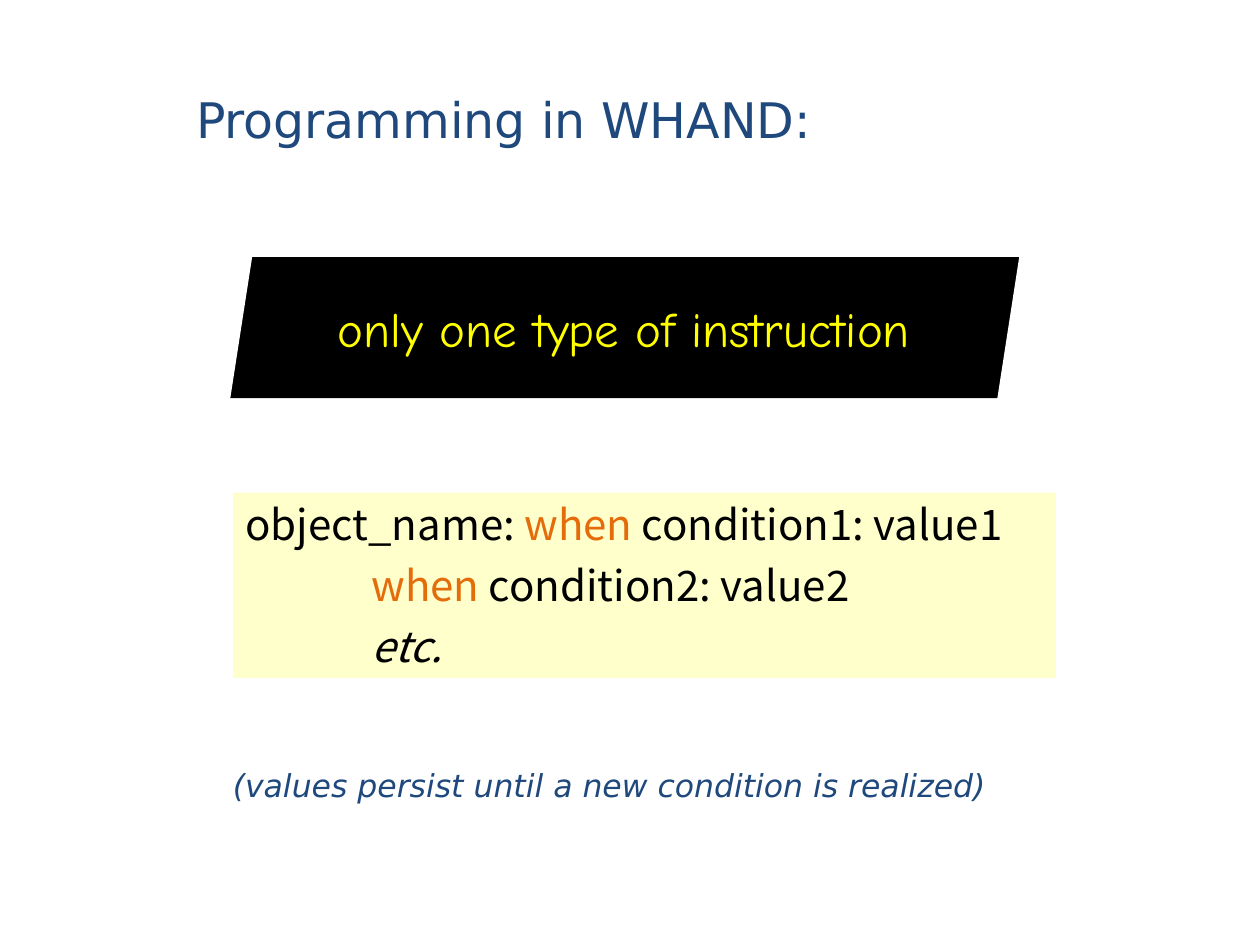
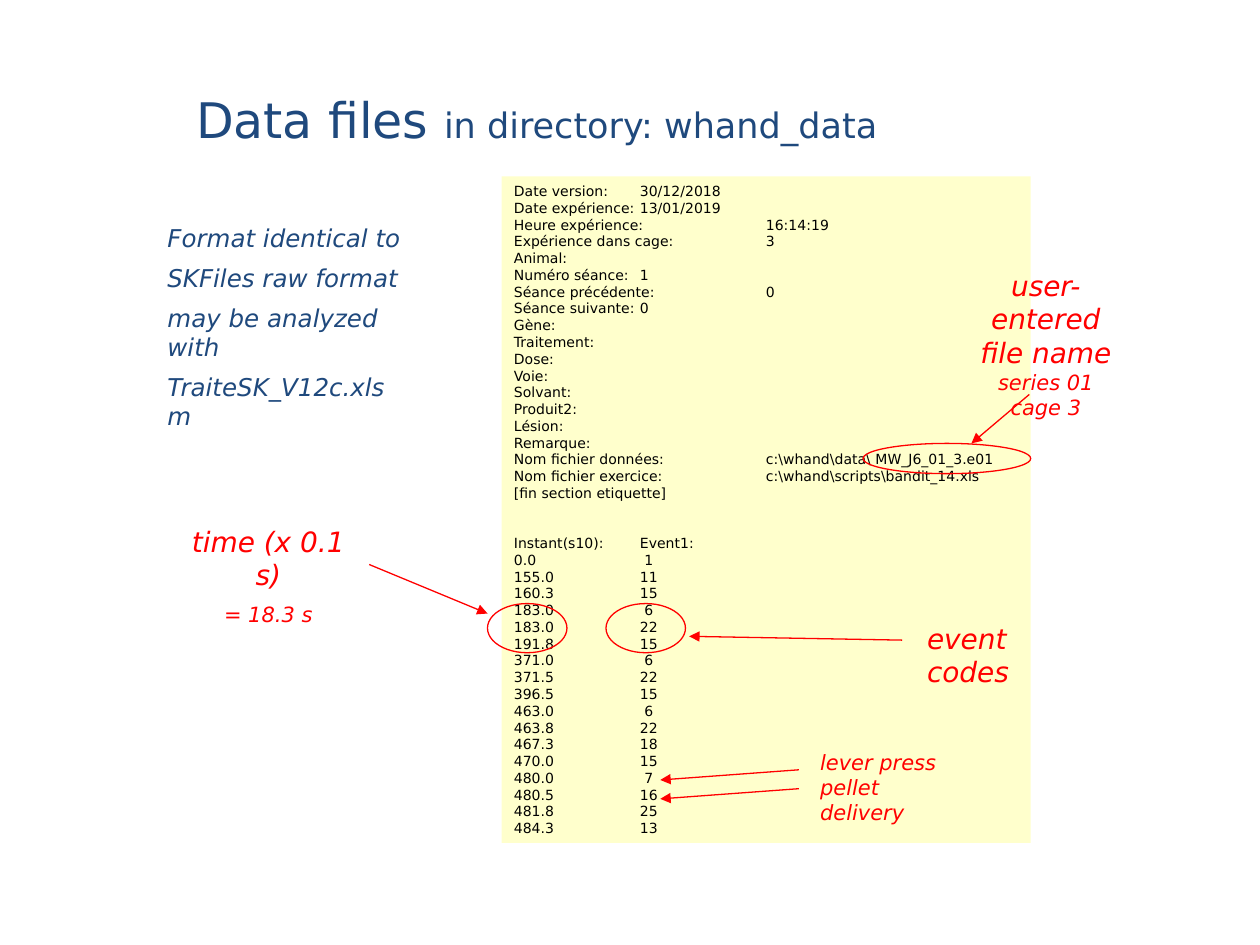
"""Build two slides on WHAND: its instruction type and its data files."""
from dataclasses import dataclass

from pptx import Presentation
from pptx.dml.color import RGBColor
from pptx.enum import shapes, text
from pptx.oxml.ns import qn
from pptx.util import Pt


@dataclass(frozen=True)
class Theme:
    navy: str = "1F497D"
    cream: str = "FFFFCC"
    orange: str = "E46C0A"
    red: str = "FF0000"
    yellow: str = "FFFF00"
    black: str = "000000"
    white: str = "FFFFFF"
    sans: str = "DejaVu Sans"
    comic: str = "Comic Neue"
    code: str = "Noto Sans CJK SC"
    title: int = 28
    rule: int = 24
    sub: int = 20
    note: int = 18
    side: int = 14
    label: int = 16
    small: int = 12
    data: int = 8


T = Theme()
LEFT, MID = text.PP_ALIGN.LEFT, text.PP_ALIGN.CENTER
RECT, OVAL = shapes.MSO_SHAPE.RECTANGLE, shapes.MSO_SHAPE.OVAL


def plain(slide, kind, box, fill=None, line=None):
    """Add a preset shape without shadow."""
    shape = slide.shapes.add_shape(kind, *map(Pt, box))
    shape.shadow.inherit = False
    if fill:
        shape.fill.solid()
        shape.fill.fore_color.rgb = RGBColor.from_string(fill)
    else:
        shape.fill.background()
    if line:
        shape.line.color.rgb = RGBColor.from_string(line)
        shape.line.width = Pt(0.75)
    else:
        shape.line.fill.background()
    return shape


def write(slide, box, lines, size=T.label, color=T.navy, font=T.sans,
          italic=False, align=LEFT, after=0, before=None, fill=None,
          anchor=text.MSO_ANCHOR.TOP):
    """Write paragraphs of runs, each run a string or (string, changes)."""
    if fill:
        shape = plain(slide, RECT, box, fill)
    else:
        shape = slide.shapes.add_textbox(*map(Pt, box))
    frame = shape.text_frame
    frame.word_wrap = True
    frame.vertical_anchor = anchor
    for i, runs in enumerate(lines):
        para = frame.paragraphs[0] if i == 0 else frame.add_paragraph()
        tabs = para._p.get_or_add_pPr().makeelement(qn("a:tabLst"), {})
        para._p.pPr.append(tabs)
        for inch in range(1, 8):
            stop = tabs.makeelement(qn("a:tab"), {"pos": str(Pt(72 * inch)), "algn": "l"})
            tabs.append(stop)
        para.alignment = align
        para.space_after = Pt(after)
        if before and i in before:
            para.space_before = Pt(before[i])
        for item in [runs] if isinstance(runs, (str, tuple)) else runs:
            words, diff = (item, {}) if isinstance(item, str) else item
            run = para.add_run()
            run.text = words
            run.font.size = Pt(diff.get("size", size))
            run.font.name = font
            run.font.italic = diff.get("italic", italic)
            run.font.color.rgb = RGBColor.from_string(diff.get("color", color))


deck = Presentation()
deck.slide_width, deck.slide_height = Pt(720), Pt(540)
blank = deck.slide_layouts[6]
rule, files = [deck.slides.add_slide(blank) for _ in range(2)]

heads = [
    (rule, 615, "Programming in WHAND:"),
    (files, 521, ["Data files ", ("in directory: whand_data", {"size": T.sub})]),
]
for slide, width, head in heads:
    write(slide, (105, 47.5, width, 41), [head], size=T.title, after=6)

write(rule, (130.3, 146.9, 452.2, 80.6), ["only one type of instruction"],
      size=T.title, color=T.yellow, font=T.comic, align=MID, fill=T.black,
      anchor=text.MSO_ANCHOR.MIDDLE)
for left, top in [(576, 147.6), (105.1, 141.8)]:
    plain(rule, RECT, (left, top, 33.1, 84.2), T.white).rotation = 8.8

when = ("when", {"color": T.orange})
write(rule, (133.2, 281.5, 470.2, 105.9), [
    ["object_name: ", when, " condition1: value1"],
    ["\t", when, " condition2: value2"],
    ["\t", ("etc.", {"italic": True})],
], size=T.rule, color=T.black, font=T.code, after=6, fill=T.cream)
write(rule, (79, 434.2, 538.6, 28.8),
      ["(values persist until a new condition is realized)"],
      size=T.note, italic=True, align=MID, after=12)

write(files, (88.6, 123.8, 149, 92.9), [
    "Format identical to",
    "SKFiles raw format",
    "may be analyzed with",
    "TraiteSK_V12c.xlsm",
], size=T.side, italic=True, after=6)

info = [
    "Date version:\t30/12/2018",
    "Date expérience:\t13/01/2019",
    "Heure expérience:\t16:14:19",
    "Expérience dans cage:\t3",
    "Animal:",
    "Numéro séance:\t1",
    "Séance précédente:\t0",
    "Séance suivante:\t0",
    "Gène:",
    "Traitement:",
    "Dose:",
    "Voie:",
    "Solvant:",
    "Produit2:",
    "Lésion:",
    "Remarque:",
    "Nom fichier données:\tc:\\whand\\data\\ MW_J6_01_3.e01",
    "Nom fichier exercice:\tc:\\whand\\scripts\\bandit_14.xls",
    "[fin section etiquette]",
]
events = [
    (0.0, 1), (155.0, 11), (160.3, 15), (183.0, 6), (183.0, 22), (191.8, 15),
    (371.0, 6), (371.5, 22), (396.5, 15), (463.0, 6), (463.8, 22), (467.3, 18),
    (470.0, 15), (480.0, 7), (480.5, 16), (481.8, 25), (484.3, 13),
]
rows = [f"{time:.1f}\t{code:2d}" for time, code in events]
write(files, (286.6, 100.8, 302.4, 380.9),
      info + ["Instant(s10):\tEvent1:"] + rows,
      size=T.data, color=T.black, before={len(info): 19.1}, fill=T.cream)

for ring in [(278.6, 344.9, 45.4, 28.1), (346.3, 344.9, 45.4, 28.1),
             (493.2, 253.4, 95.8, 17.3)]:
    plain(files, OVAL, ring, line=T.red)

arrows = [
    (211, 322.6, 278.6, 350.6),
    (515.5, 365.8, 393.8, 363.6),
    (588.2, 225.4, 555.1, 253.4),
    (456.5, 439.9, 377.3, 445.7),
    (456.5, 450.7, 377.3, 456.5),
]
for ends in arrows:
    arrow = files.shapes.add_connector(shapes.MSO_CONNECTOR.STRAIGHT, *map(Pt, ends))
    arrow.line.color.rgb = RGBColor.from_string(T.red)
    arrow.line.width = Pt(0.75)
    line = arrow.line._get_or_add_ln()
    line.append(line.makeelement(qn("a:tailEnd"), {"type": "triangle"}))
    props = arrow._element.spPr
    props.append(props.makeelement(qn("a:effectLst"), {}))

small = {"size": T.small}
labels = [
    ((101.5, 295.9, 103.7, 46.8), MID, 6, ["time (x 0.1 s)", ("= 18.3 s", small)]),
    ((522.7, 351.4, 96.5, 26.6), LEFT, 0, ["event codes"]),
    ((545.8, 149.8, 103.7, 74.9), MID, 0,
     ["user-entered", "file name", ("series 01", small), ("cage 3", small)]),
    ((461.5, 424.8, 87.8, 36), LEFT, 0,
     [("lever press", small), ("pellet delivery", small)]),
]
for box, align, after, lines in labels:
    write(files, box, lines, color=T.red, italic=True, align=align, after=after)

deck.save("out.pptx")
